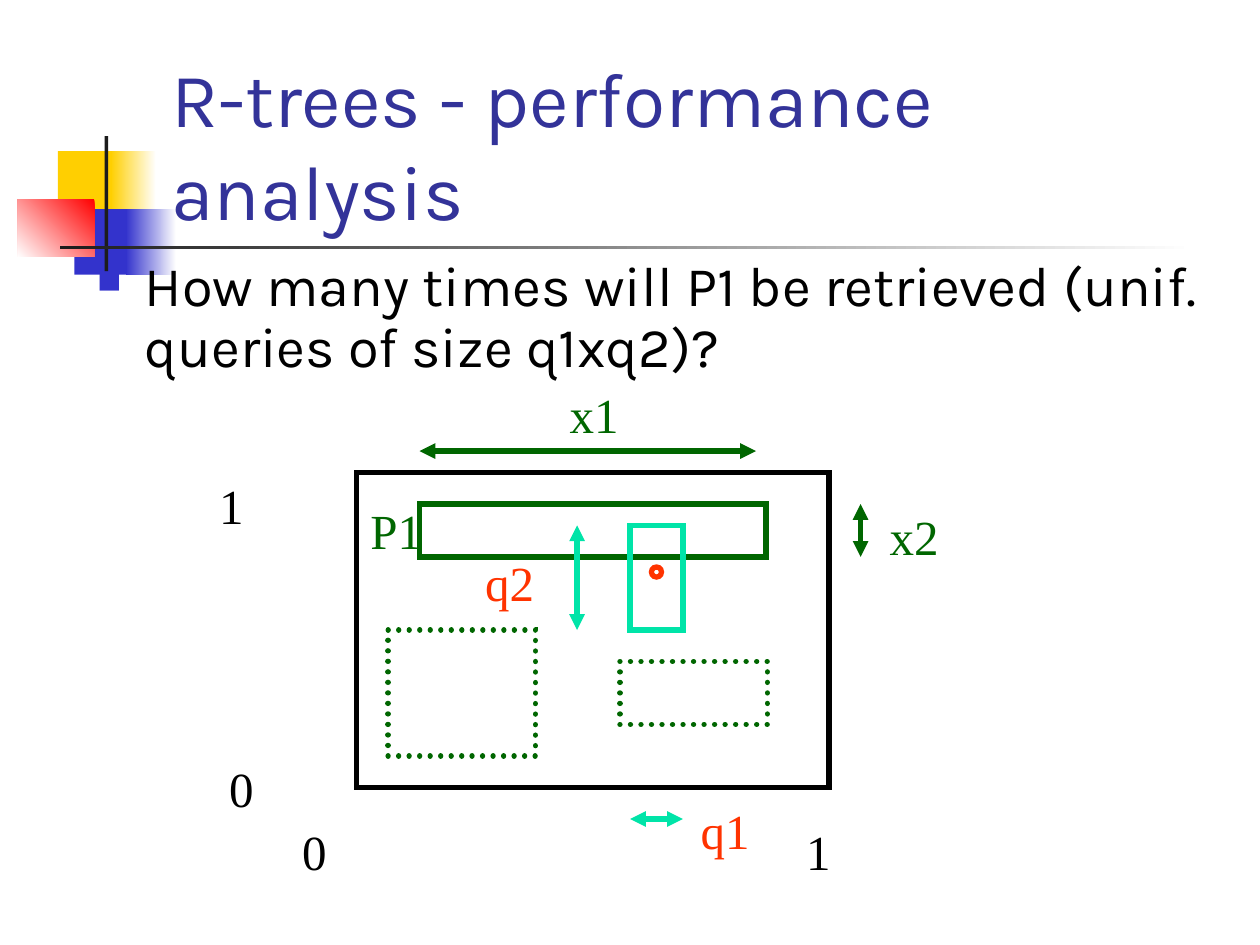
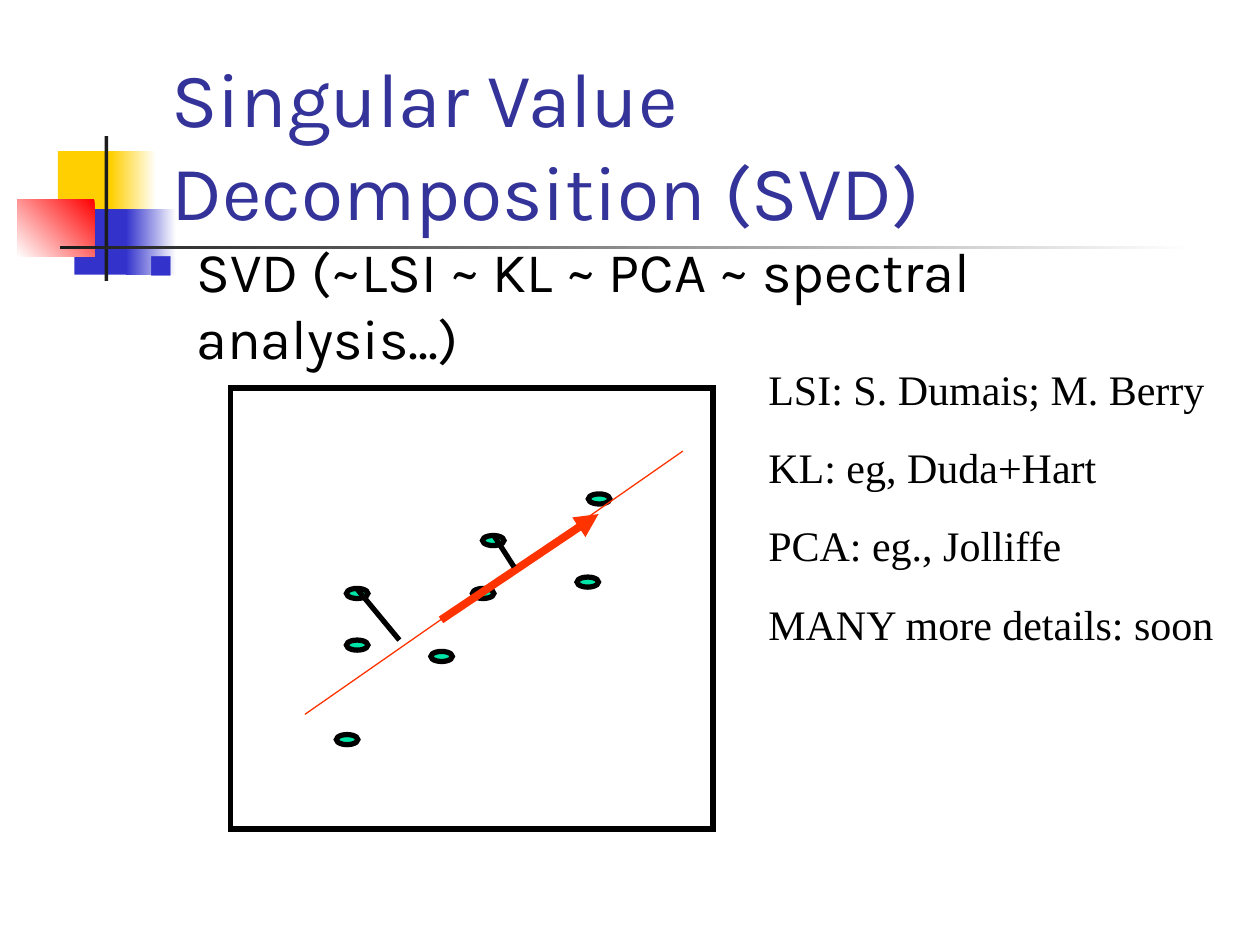
from lxml import etree
from pptx import Presentation
from pptx.dml.color import RGBColor
from pptx.enum.dml import MSO_LINE
from pptx.enum.shapes import MSO_CONNECTOR, MSO_SHAPE
from pptx.enum.text import MSO_ANCHOR, MSO_AUTO_SIZE, PP_ALIGN
from pptx.oxml.ns import qn
from pptx.util import Inches, Pt

RECT, OVAL = MSO_SHAPE.RECTANGLE, MSO_SHAPE.OVAL
LINE, DOTS = MSO_CONNECTOR.STRAIGHT, MSO_LINE.ROUND_DOT
LEFT, MID = PP_ALIGN.LEFT, PP_ALIGN.CENTER
TOP, CORE, BASE = MSO_ANCHOR.TOP, MSO_ANCHOR.MIDDLE, MSO_ANCHOR.BOTTOM
NONE, GROW = MSO_AUTO_SIZE.NONE, MSO_AUTO_SIZE.SHAPE_TO_FIT_TEXT

WHITE = RGBColor(0xFF, 0xFF, 0xFF)
BLACK = RGBColor(0, 0, 0)
GOLD = RGBColor(0xFF, 0xCF, 0x01)
BLUE = RGBColor(0x33, 0x33, 0xCC)
NAVY = RGBColor(0x33, 0x33, 0x99)
RED = RGBColor(0xFF, 0, 0)
COAL = RGBColor(0x1C, 0x1C, 0x1C)
GREEN = RGBColor(0, 0x66, 0)
MINT = RGBColor(0, 0xE4, 0xA8)
FLAME = RGBColor(0xFF, 0x33, 0)

HEAD = {"size": Pt(44), "name": "Karla"}
BODY = {"size": Pt(32), "name": "Karla"}
MARK = {"size": Pt(28), "name": "Times New Roman"}
NOTE = {"size": Pt(24), "name": "Times New Roman"}

BAND = [
    ((0.46, 1.2, 0.48, 0.52), [GOLD], 0),
    ((0.88, 1.2, 0.36, 0.52), [WHITE, GOLD], 180),
    ((0.59, 1.66, 0.46, 0.52), [BLUE], 0),
    ((1, 1.66, 0.4, 0.52), [WHITE, BLUE], 180),
    ((0.14, 1.58, 0.61, 0.46), [RED, WHITE], 225),
    ((0.83, 1.08, 0.03, 1.15), [COAL], 0),
    ((0.48, 1.95, 9, 0.03), [WHITE, COAL], 180),
]


def draw(shapes, kind, at, fill=(), edge=None, turn=0, dash=None):
    item = shapes.add_shape(kind, *map(Inches, at))
    item.shadow.inherit = False
    if len(fill) == 2:
        item.fill.gradient()
        item.fill.gradient_angle = turn
        for stop, tone in zip(item.fill.gradient_stops, fill):
            stop.color.rgb = tone
    elif fill:
        item.fill.solid()
        item.fill.fore_color.rgb = fill[0]
    else:
        item.fill.background()
    if edge is None:
        item.line.fill.background()
        return
    item.line.color.rgb = edge
    item.line.width = Pt(3)
    ln = item.element.spPr.find(qn("a:ln"))
    if dash:
        item.line.dash_style = dash
        ln.set("cap", "rnd")
    etree.SubElement(ln, qn("a:miter")).set("lim", "800000")


def write(item, lines, style, tone, align=LEFT, anchor=TOP, wrap=True, gap=0):
    frame = item.text_frame
    form = {"word_wrap": wrap, "auto_size": NONE if wrap else GROW,
            "vertical_anchor": anchor}
    for key, val in form.items():
        setattr(frame, key, val)
    for i, line in enumerate(lines):
        para = frame.paragraphs[0] if i == 0 else frame.add_paragraph()
        para.alignment = align
        if i:
            para.space_before = Pt(gap)
        run = para.add_run()
        run.text = line
        for key, val in style.items():
            setattr(run.font, key, val)
        run.font.color.rgb = tone


deck = Presentation()
deck.slide_width, deck.slide_height = Inches(10), Inches(7.5)

pages = [
    ("R-trees - performance analysis",
     "How many times will P1 be retrieved (unif. queries of size q1xq2)?",
     (0.67, 2, 9, 4.5), 0.9),
    ("Singular Value Decomposition (SVD)",
     "SVD (~LSI ~ KL ~ PCA ~ spectral analysis...)",
     (1.08, 1.83, 8.5, 4.5), 1.0),
]
for title, point, at, pitch in pages:
    slide = deck.slides.add_slide(deck.slide_layouts[5])
    for spot, fill, turn in BAND:
        draw(slide.shapes, RECT, spot, fill, turn=turn)
    head = slide.shapes.title
    head.left, head.top, head.width, head.height = map(
        Inches, (1.26, 0.67, 8.52, 1.25))
    write(head, [title], HEAD, NAVY, anchor=BASE)
    slide.shapes._spTree.append(head.element)

    body = slide.shapes.add_textbox(*map(Inches, at))
    write(body, [point], BODY, BLACK)
    para = body.text_frame.paragraphs[0]
    props = para._p.get_or_add_pPr()
    props.set("marL", str(Inches(0.38)))
    props.set("indent", str(-Inches(0.38)))
    tint = etree.SubElement(props, qn("a:buClr"))
    etree.SubElement(tint, qn("a:srgbClr")).set("val", str(BLUE))
    etree.SubElement(props, qn("a:buSzPct")).set("val", "60000")
    etree.SubElement(props, qn("a:buChar")).set("char", "■")
    para.line_spacing = pitch

trees, svd = deck.slides

for kind, at, edge, dash in [
    (RECT, (2.83, 3.75, 3.75, 2.5), BLACK, None),
    (OVAL, (5.17, 4.5, 0.08, 0.08), FLAME, None),
    (RECT, (3.08, 5, 1.17, 1), GREEN, DOTS),
    (RECT, (3.33, 4, 2.75, 0.42), GREEN, None),
    (RECT, (4.92, 5.25, 1.17, 0.5), GREEN, DOTS),
    (RECT, (5, 4.17, 0.42, 0.83), MINT, None),
]:
    draw(trees.shapes, kind, at, edge=edge, dash=dash)

for text, x, y, wide, tone in [
    ("P1", 2.84, 3.92, 0.61, GREEN),
    ("x1", 4.42, 3, 0.59, GREEN),
    ("x2", 6.96, 3.97, 0.59, GREEN),
    ("0", 2.3, 6.47, 0.39, BLACK),
    ("1", 6.3, 6.47, 0.39, BLACK),
    ("0", 1.72, 5.97, 0.39, BLACK),
    ("1", 1.64, 3.72, 0.39, BLACK),
    ("q1", 5.46, 6.3, 0.59, FLAME),
    ("q2", 3.75, 4.33, 0.59, FLAME),
]:
    label = trees.shapes.add_textbox(*map(Inches, (x, y, wide, 0.57)))
    write(label, [text], MARK, tone, MID, CORE, False)

plot = svd.shapes.add_group_shape().shapes
draw(plot, RECT, (1.83, 3.08, 3.83, 3.5), edge=BLACK)
for x, y in [(2.67, 5.83), (2.75, 4.67), (3.42, 5.17), (3.83, 4.25),
             (3.75, 4.67), (2.75, 5.08), (4.67, 3.92), (4.58, 4.58)]:
    draw(plot, OVAL, (x, y, 0.17, 0.08), [MINT], BLACK)

notes = svd.shapes.add_textbox(*map(Inches, (6, 2.85, 3.74, 2.33)))
write(notes, ["LSI: S. Dumais; M. Berry", "KL: eg, Duda+Hart",
              "PCA: eg., Jolliffe", "MANY more details: soon"],
      NOTE, BLACK, anchor=CORE, wrap=False, gap=16)

BOTH, TAIL = ("a:headEnd", "a:tailEnd"), ("a:tailEnd",)
for slide, ends, tone, width, tips in [
    (trees, (3.33, 3.58, 6, 3.58), GREEN, 3, BOTH),
    (trees, (6.83, 4, 6.83, 4.42), GREEN, 3, BOTH),
    (trees, (5, 6.5, 5.42, 6.5), MINT, 3, BOTH),
    (trees, (4.58, 4.17, 4.58, 5), MINT, 3, BOTH),
    (svd, (3.5, 4.92, 4.75, 4.08), FLAME, 4.5, TAIL),
    (svd, (3.92, 4.25, 4.08, 4.5), BLACK, 3, ()),
    (svd, (2.83, 4.67, 3.17, 5.08), BLACK, 3, ()),
    (svd, (5.42, 3.58, 2.42, 5.67), FLAME, 0.75, ()),
]:
    link = slide.shapes.add_connector(LINE, *map(Inches, ends))
    link.line.color.rgb = tone
    link.line.width = Pt(width)
    props = link.element.spPr
    for tip in tips:
        etree.SubElement(props.find(qn("a:ln")), qn(tip)).set("type", "triangle")
    etree.SubElement(props, qn("a:effectLst"))

deck.save("out.pptx")
